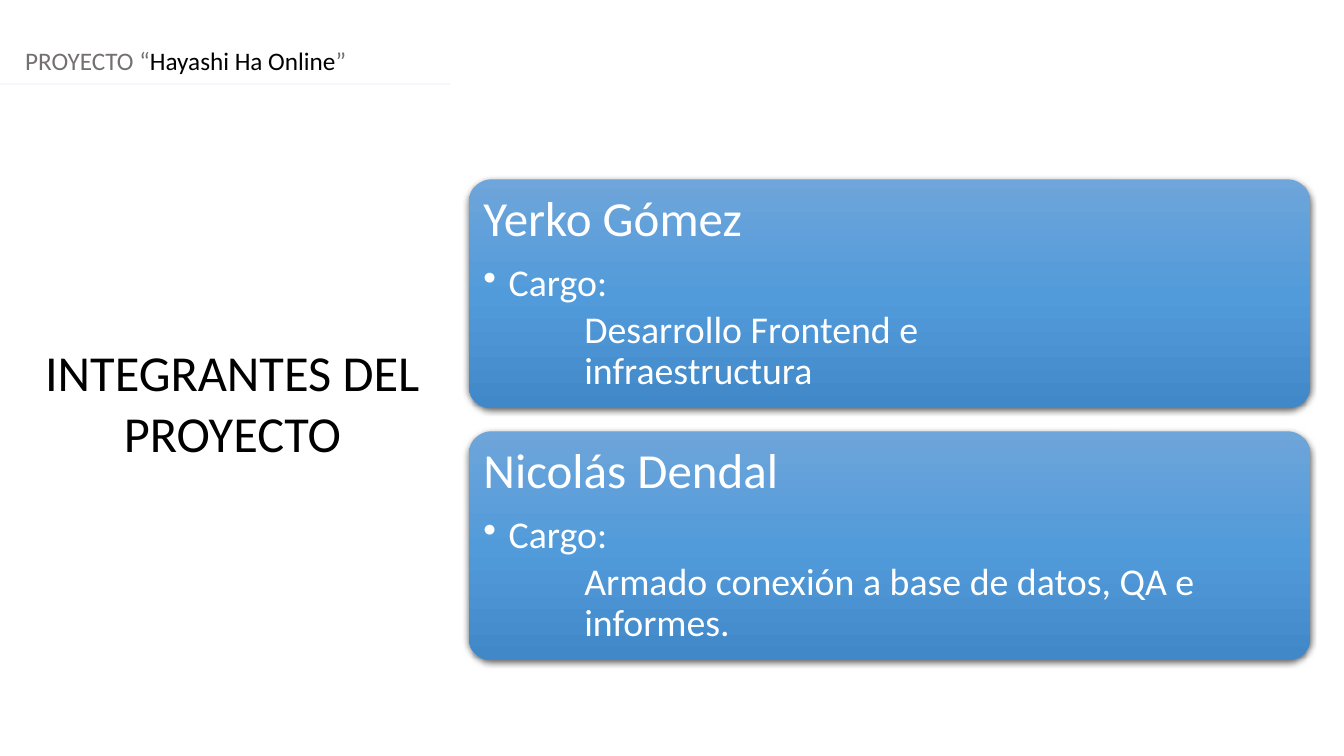
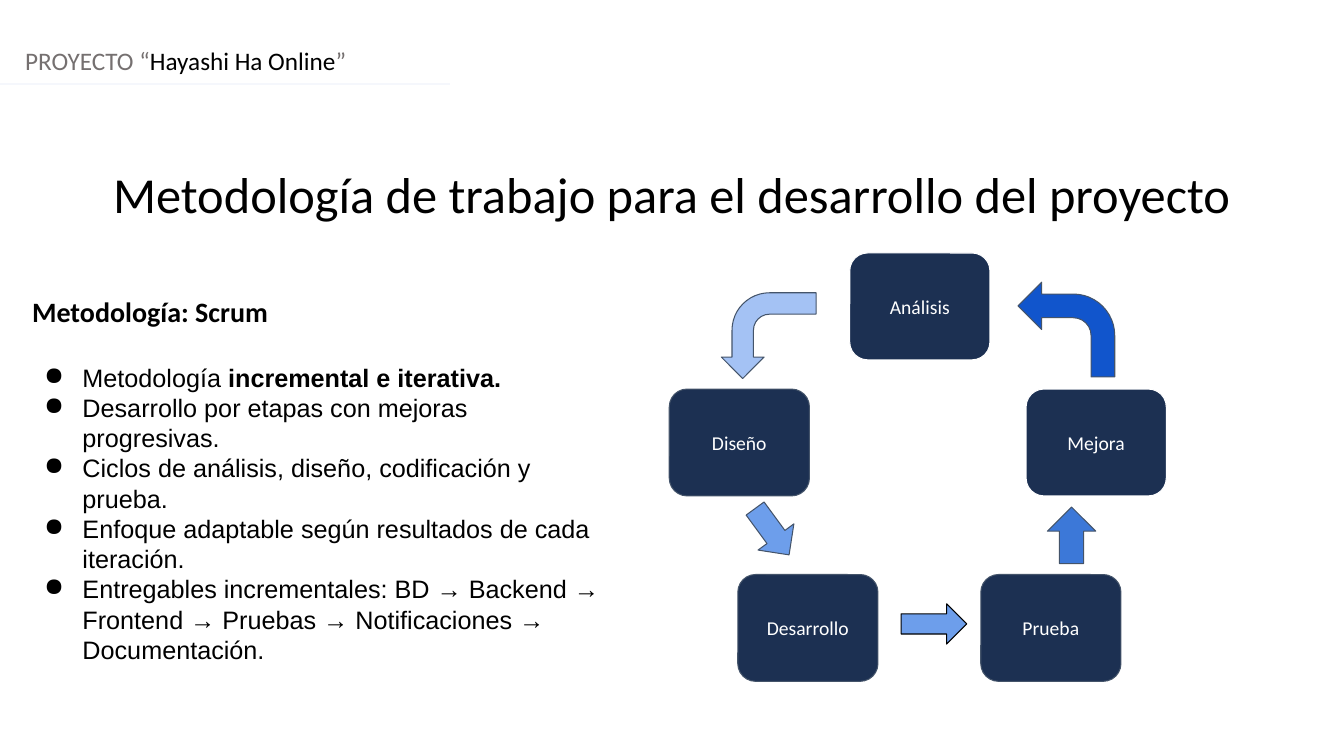
import copy

import pptx
import pptx.dml.color
import pptx.enum.shapes
import pptx.enum.text
import pptx.oxml.ns
import pptx.util

W, H = pptx.util.Inches(13.333), pptx.util.Inches(7.5)
SHAPE = pptx.enum.shapes.MSO_SHAPE
ALIGN = pptx.enum.text.PP_ALIGN
ANCHOR = pptx.enum.text.MSO_ANCHOR

BLACK, WHITE, GREY, RULE = "000000", "FFFFFF", "757070", "F5F7FC"
NAVY, SLATE = "1C3052", "44546A"
CARD_STOPS = [(0, "6EA5DA"), (0.5, "529BDA"), (1, "4188C8")]

CARD_X, CARD_Y, CARD_W, CARD_H, CARD_STEP = 34.88, 23.73, 62.63, 30.27, 33.33
NODE_W, NODE_H = 10.43, 14.13
TOP_ROW, MID_ROW, LOW_ROW = 33.47, 51.47, 76

MEMBERS = [
    ("Yerko Gómez", "Desarrollo Frontend e infraestructura", 2),
    ("Nicolás Dendal", "Armado conexión a base de datos, QA e informes.", 0.08),
]
POINTS = [
    [("Metodología ", {}), ("incremental e iterativa.", {"bold": True})],
    "Desarrollo por etapas con mejoras progresivas.",
    "Ciclos de análisis, diseño, codificación y prueba.",
    "Enfoque adaptable según resultados de cada iteración.",
    "Entregables incrementales: BD → Backend → Frontend → Pruebas"
    " → Notificaciones → Documentación.",
]
NODES = [
    ("Diseño", 49.8, MID_ROW, SLATE),
    ("Desarrollo", 54.9, LOW_ROW, SLATE),
    ("Análisis", 63.23, TOP_ROW, WHITE),
    ("Mejora", 76.35, MID_ROW, WHITE),
    ("Prueba", 72.98, LOW_ROW, SLATE),
]
ARROWS = [
    (SHAPE.BENT_ARROW, (54, 38.13, 6.38, 12.53), "A4C2F4", SLATE, 270),
    (SHAPE.DOWN_ARROW, (55.8, 66.53, 3.3, 7.6), "6D9EEB", SLATE, 323.8),
    (SHAPE.RIGHT_ARROW, (67.05, 79.87, 4.88, 5.33), "6D9EEB", BLACK, 0),
    (SHAPE.UP_ARROW, (77.93, 67.07, 3.6, 7.47), "3C78D8", SLATE, 0),
    (SHAPE.BENT_ARROW, (75.75, 37.33, 7.2, 12.53), "1155CC", SLATE, 0),
]


def rgb(color):
    return pptx.dml.color.RGBColor.from_string(color)


def percent(x, y, w, h):
    return [int(v * side / 100) for v, side in zip((x, y, w, h), (W, H, W, H))]


def add_xml(parent, tag, **attrs):
    child = parent.makeelement(pptx.oxml.ns.qn(tag), attrs)
    parent.append(child)
    return child


def set_insets(tf, left, top, right, bottom):
    tf.margin_left, tf.margin_top = pptx.util.Inches(left), pptx.util.Inches(top)
    tf.margin_right, tf.margin_bottom = pptx.util.Inches(right), pptx.util.Inches(bottom)


def write(tf, text, size=18, color=BLACK, font="Calibri", bold=False,
          align=ALIGN.LEFT, bullet=None, left=0, hanging=0, before=0, spacing=1):
    p = tf.add_paragraph() if tf.text else tf.paragraphs[0]
    p.alignment, p.line_spacing = align, spacing
    p.space_before = pptx.util.Pt(before)
    pPr = p._p.get_or_add_pPr()
    pPr.set("marL", str(pptx.util.Inches(left)))
    pPr.set("indent", str(pptx.util.Inches(-hanging)))
    if bullet:
        add_xml(pPr, "a:buChar", char=bullet)
    for part, change in [(text, {})] if isinstance(text, str) else text:
        r = p.add_run()
        r.text = part
        r.font.name, r.font.size = font, pptx.util.Pt(size)
        r.font.bold = change.get("bold", bold)
        r.font.color.rgb = rgb(change.get("color", color))


def text_box(slide, area):
    tf = slide.shapes.add_textbox(*percent(*area)).text_frame
    tf.word_wrap = True
    return tf


def shape(slide, kind, area, fill=None, line=None):
    sp = slide.shapes.add_shape(kind, *percent(*area))
    sp.shadow.inherit = False
    if fill:
        sp.fill.solid()
        sp.fill.fore_color.rgb = rgb(fill)
    if line:
        sp.line.color.rgb = rgb(line)
        sp.line.width = pptx.util.Pt(0.75)
    else:
        sp.line.fill.background()
    return sp


def header(slide):
    write(text_box(slide, (1.13, 5.33, 97.5, 5.33)),
          [("PROYECTO “", {}), ("Hayashi Ha Online", {"color": BLACK}), ("”", {})],
          color=GREY)
    x, y, w, _ = percent(0, 11.07, 33.5, 0)
    rule = slide.shapes.add_connector(pptx.enum.shapes.MSO_CONNECTOR.STRAIGHT, x, y, x + w, y)
    rule.line.color.rgb = rgb(RULE)
    rule.line.width = pptx.util.Pt(1.25)
    add_xml(rule._element.spPr, "a:effectLst")


def title(slide, text, area):
    write(text_box(slide, area), text, size=36, align=ALIGN.CENTER)


def soft_shadow(sp):
    effects = sp._element.spPr.find(pptx.oxml.ns.qn("a:effectLst"))
    outer = add_xml(effects, "a:outerShdw", blurRad=str(pptx.util.Pt(4.5)),
                    dist=str(pptx.util.Pt(1.5)), dir="5400000", rotWithShape="0")
    add_xml(add_xml(outer, "a:srgbClr", val=BLACK), "a:alpha", val="63000")


def card(slide, row, name, duty, right_inset):
    sp = shape(slide, SHAPE.ROUNDED_RECTANGLE,
               (CARD_X, CARD_Y + row * CARD_STEP, CARD_W, CARD_H))
    sp.adjustments[0] = 0.1
    sp.fill.gradient()
    sp.fill.gradient_angle = 270
    stops = sp._element.spPr.find(".//" + pptx.oxml.ns.qn("a:gsLst"))
    stops.append(copy.deepcopy(stops[0]))
    for stop, (position, color) in zip(sp.fill.gradient_stops, CARD_STOPS):
        stop.position, stop.color.rgb = position, rgb(color)
    soft_shadow(sp)
    tf = sp.text_frame
    tf.word_wrap, tf.vertical_anchor = True, ANCHOR.TOP
    set_insets(tf, 0.08, 0.08, right_inset, 0.08)
    write(tf, name, size=35, color=WHITE, spacing=0.9)
    write(tf, "Cargo:", size=27, color=WHITE, spacing=0.9, before=12.2,
          bullet="•", left=0.25, hanging=0.25)
    write(tf, duty, size=27, color=WHITE, spacing=0.9, before=4, left=1)


def node(slide, label, x, y, line):
    sp = shape(slide, SHAPE.ROUNDED_RECTANGLE, (x, y, NODE_W, NODE_H), NAVY, line)
    tf = sp.text_frame
    tf.word_wrap, tf.vertical_anchor = True, ANCHOR.MIDDLE
    set_insets(tf, 0.1, 0.1, 0.1, 0.1)
    write(tf, label, size=14, color=WHITE, align=ALIGN.CENTER)


def arrow(slide, kind, area, fill, line, rotation):
    sp = shape(slide, kind, area, fill, line)
    sp.rotation = rotation
    if kind == SHAPE.BENT_ARROW:
        sp._element.spPr.find(pptx.oxml.ns.qn("a:xfrm")).set("flipH", "1")


def team_slide(slide):
    header(slide)
    for row, member in enumerate(MEMBERS):
        card(slide, row, *member)
    title(slide, "INTEGRANTES DEL PROYECTO", (2.48, 44.53, 29.63, 17.47))


def method_slide(slide):
    header(slide)
    title(slide, "Metodología de trabajo para el desarrollo del proyecto",
          (0, 20.93, 100, 9.47))
    tf = text_box(slide, (1.65, 38.27, 44.18, 54.8))
    write(tf, "Metodología: Scrum", size=20, bold=True)
    for i, point in enumerate(POINTS):
        write(tf, point, font="Arial", bullet="●", left=0.5, hanging=0.38,
              before=0 if i else 24.4)
    for item in NODES:
        node(slide, *item)
    for item in ARROWS:
        arrow(slide, *item)


def main():
    prs = pptx.Presentation()
    prs.slide_width, prs.slide_height = W, H
    for build in (team_slide, method_slide):
        build(prs.slides.add_slide(prs.slide_layouts[6]))
    prs.save("out.pptx")


if __name__ == "__main__":
    main()
